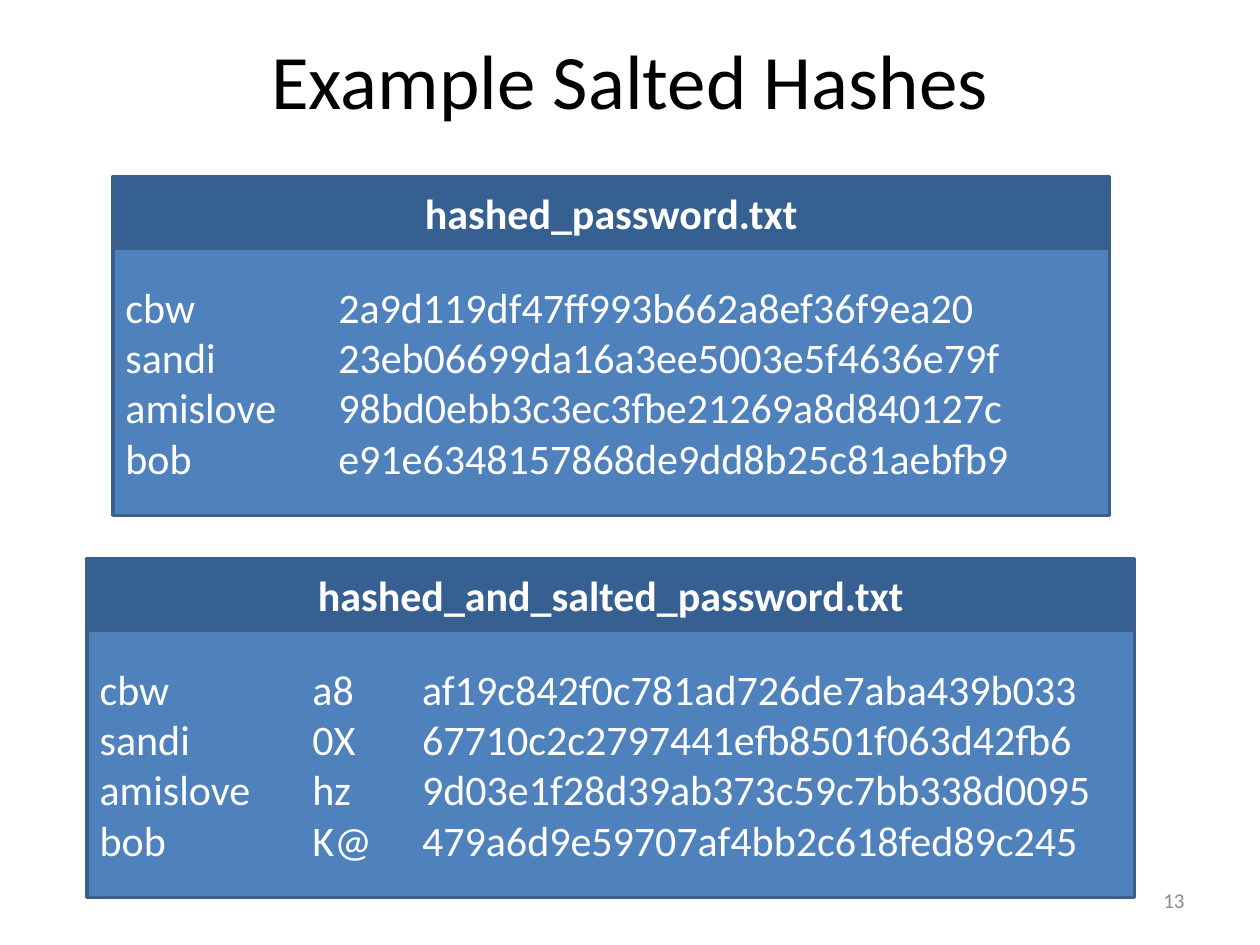
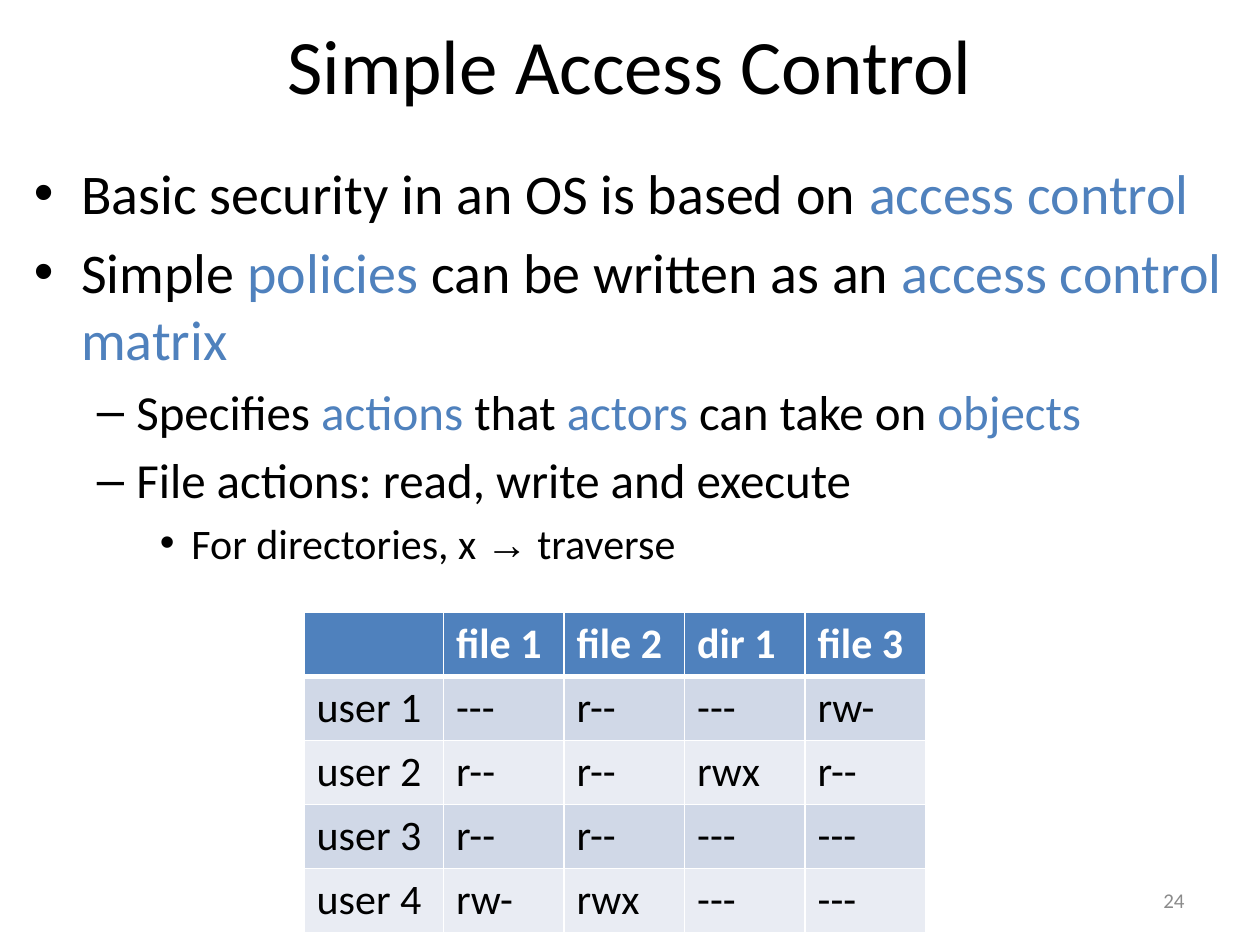
from lxml.etree import SubElement
from pptx import Presentation
from pptx.dml.color import RGBColor
from pptx.enum.shapes import MSO_SHAPE
from pptx.enum.text import MSO_ANCHOR, MSO_AUTO_SIZE, PP_ALIGN
from pptx.oxml.ns import qn
from pptx.util import Cm, Pt

BLACK = RGBColor(0x00, 0x00, 0x00)
WHITE = RGBColor(0xFF, 0xFF, 0xFF)
GREY = RGBColor(0x8B, 0x8B, 0x8B)
BLUE = RGBColor(0x4F, 0x81, 0xBD)
DARK_BLUE = RGBColor(0x37, 0x60, 0x92)
OUTLINE = RGBColor(0x3A, 0x5F, 0x8B)
ROW_TINTS = (RGBColor(0xE9, 0xEC, 0xF3), RGBColor(0xD0, 0xD8, 0xE7))

TITLE_ONLY, TITLE_AND_BODY = 5, 1
FILE_HEADER, FILE_BODY = 1.45, 5.38

HASHES = [
    "cbw\t2a9d119df47ff993b662a8ef36f9ea20",
    "sandi\t23eb06699da16a3ee5003e5f4636e79f",
    "amislove\t98bd0ebb3c3ec3fbe21269a8d840127c",
    "bob\te91e6348157868de9dd8b25c81aebfb9",
]
SALTED_HASHES = [
    "cbw\ta8\taf19c842f0c781ad726de7aba439b033",
    "sandi\t0X\t67710c2c2797441efb8501f063d42fb6",
    "amislove\thz\t9d03e1f28d39ab373c59c7bb338d0095",
    "bob\tK@\t479a6d9e59707af4bb2c618fed89c245",
]
ACCESS_POINTS = [
    (0, "Basic security in an OS is based on *access control*"),
    (0, "Simple *policies* can be written as an *access control matrix*"),
    (1, "Specifies *actions* that *actors* can take on *objects*"),
    (1, "File actions: read, write and execute"),
    (2, "For directories, x → traverse"),
]
ACCESS_MATRIX = [
    ["", "file 1", "file 2", "dir 1", "file 3"],
    ["user 1", "---", "r--", "---", "rw-"],
    ["user 2", "r--", "r--", "rwx", "r--"],
    ["user 3", "r--", "r--", "---", "---"],
    ["user 4", "rw-", "rwx", "---", "---"],
]


def write(paragraph, text, size=24, color=BLACK, bold=False, align=None, tabs=()):
    """Fill a paragraph; words between asterisks take the accent colour."""
    paragraph.alignment = align
    for index, phrase in enumerate(text.split("*")):
        for piece in filter(None, phrase.partition("→")):
            run = paragraph.add_run()
            run.text = piece
            run.font.name = "Arial" if piece == "→" else "Calibri"
            run.font.size = Pt(size)
            run.font.bold = bold
            run.font.color.rgb = BLUE if index % 2 else color
    if tabs:
        tab_list = SubElement(paragraph._p.get_or_add_pPr(), qn("a:tabLst"))
        for stop in tabs:
            SubElement(tab_list, qn("a:tab"), pos=str(Cm(stop)), algn="l")


def add_paragraphs(frame, count):
    """Return count paragraphs, the first being the one already there."""
    return [frame.paragraphs[0]] + [frame.add_paragraph() for _ in range(count - 1)]


def place(shape, left, top, width, height):
    shape.left, shape.top = Cm(left), Cm(top)
    shape.width, shape.height = Cm(width), Cm(height)


def set_borders(cell, bottom):
    properties = cell._tc.get_or_add_tcPr()
    for position, side in enumerate(("lnL", "lnR", "lnT", "lnB")):
        width = bottom if side == "lnB" else 1
        line = properties.makeelement(qn(f"a:{side}"), {"w": str(Pt(width))})
        fill = SubElement(line, qn("a:solidFill"))
        SubElement(fill, qn("a:srgbClr"), val=str(WHITE))
        properties.insert(position, line)


class Deck:
    def __init__(self):
        self.presentation = Presentation()
        self.presentation.slide_width = Cm(25.4)
        self.presentation.slide_height = Cm(19.05)
        self.slide = None

    def start_slide(self, layout, title, title_top, number):
        layouts = self.presentation.slide_layouts
        self.slide = self.presentation.slides.add_slide(layouts[layout])
        heading = self.slide.shapes.title
        place(heading, 1.27, title_top, 22.86, 3.18)
        write(heading.text_frame.paragraphs[0], title, size=44, align=PP_ALIGN.CENTER)
        self.page_number(number)

    def page_number(self, number):
        box = self.slide.shapes.add_textbox(Cm(18.2), Cm(17.65), Cm(5.93), Cm(1.01))
        box.text_frame.word_wrap = True
        box.text_frame.vertical_anchor = MSO_ANCHOR.MIDDLE
        write(box.text_frame.paragraphs[0], str(number), size=12, color=GREY,
              align=PP_ALIGN.RIGHT)

    def bullets(self, points, *box):
        body = self.slide.placeholders[1]
        place(body, *box)
        frame = body.text_frame
        frame.auto_size = MSO_AUTO_SIZE.NONE
        for paragraph, (level, text) in zip(add_paragraphs(frame, len(points)), points):
            paragraph.level = level
            write(paragraph, text, size=32 - 4 * level)

    def panel(self, shapes, lines, box, fill, **text_format):
        panel = shapes.add_shape(MSO_SHAPE.RECTANGLE, *map(Cm, box))
        panel.shadow.inherit = False
        panel.fill.solid()
        panel.fill.fore_color.rgb = fill
        panel.line.color.rgb = OUTLINE
        panel.line.width = Pt(2)
        frame = panel.text_frame
        frame.vertical_anchor = MSO_ANCHOR.MIDDLE
        for paragraph, line in zip(add_paragraphs(frame, len(lines)), lines):
            write(paragraph, line, color=WHITE, **text_format)

    def file_listing(self, file_name, lines, left, top, width, tabs):
        shapes = self.slide.shapes.add_group_shape().shapes
        self.panel(shapes, lines, (left, top + FILE_HEADER, width, FILE_BODY), BLUE,
                   align=PP_ALIGN.LEFT, tabs=tabs)
        self.panel(shapes, [file_name], (left, top, width, FILE_HEADER), DARK_BLUE,
                   align=PP_ALIGN.CENTER, bold=True)

    def matrix(self, rows, left, top, widths, row_height):
        frame = self.slide.shapes.add_table(
            len(rows), len(widths), Cm(left), Cm(top),
            Cm(sum(widths)), Cm(row_height * len(rows)))
        table = frame.table
        for column, width in zip(table.columns, widths):
            column.width = Cm(width)
        for r, row in enumerate(rows):
            header = r == 0
            for c, text in enumerate(row):
                cell = table.cell(r, c)
                cell.fill.solid()
                cell.fill.fore_color.rgb = BLUE if header else ROW_TINTS[r % 2]
                set_borders(cell, bottom=3 if header else 1)
                write(cell.text_frame.paragraphs[0], text, bold=header,
                      color=WHITE if header else BLACK)


def main():
    deck = Deck()

    deck.start_slide(TITLE_ONLY, "Example Salted Hashes", 0, 13)
    deck.file_listing("hashed_and_salted_password.txt", SALTED_HASHES,
                      1.76, 11.26, 21.11, tabs=(4.29, 6.5))
    deck.file_listing("hashed_password.txt", HASHES, 2.28, 3.56, 20.09, tabs=(4.29,))

    deck.start_slide(TITLE_AND_BODY, "Simple Access Control", -0.3, 24)
    deck.bullets(ACCESS_POINTS, 0.43, 3.07, 24.64, 9.02)
    deck.matrix(ACCESS_MATRIX, 6.13, 12.35, [2.81] + [2.43] * 4, 1.29)

    deck.presentation.save("out.pptx")


if __name__ == "__main__":
    main()
